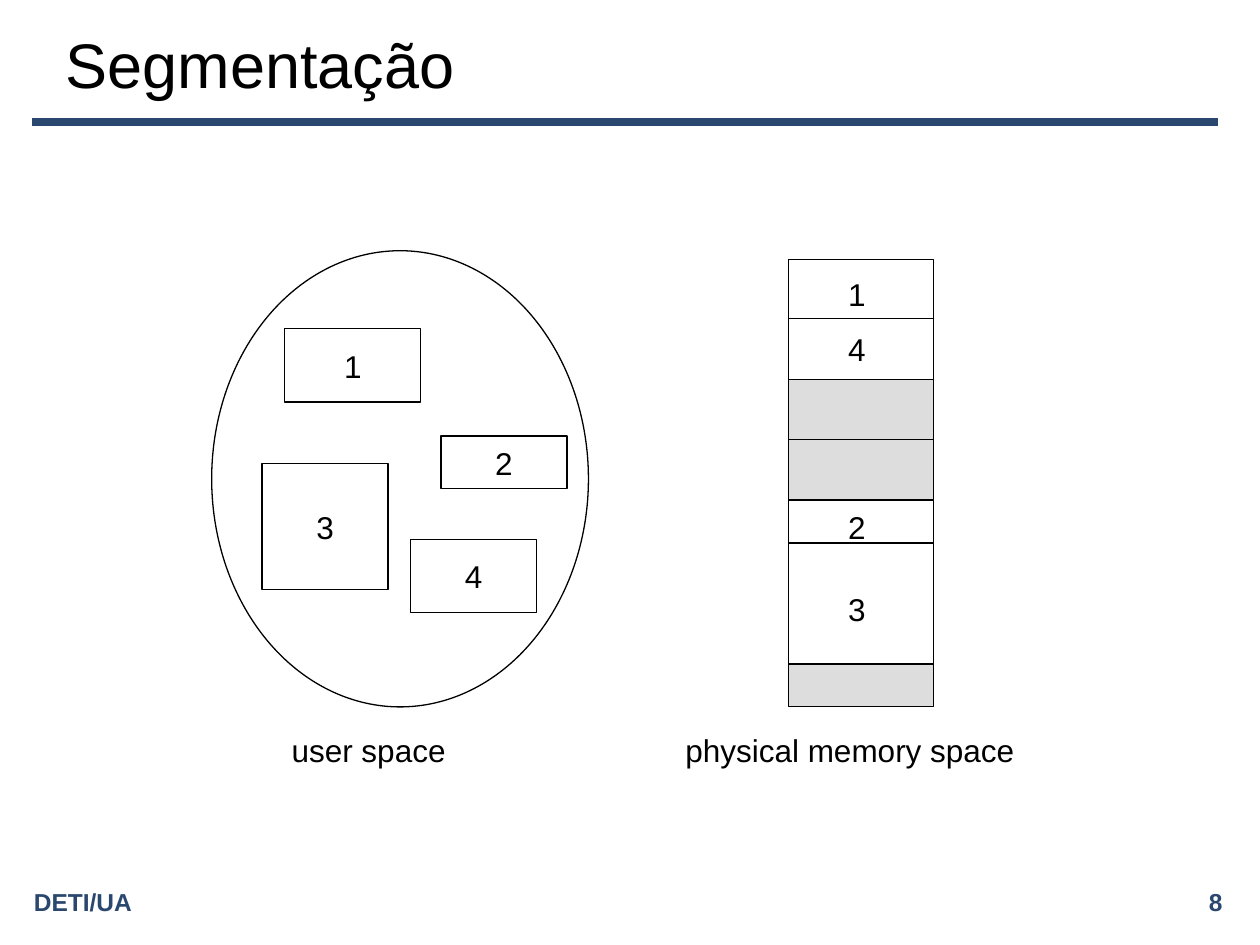
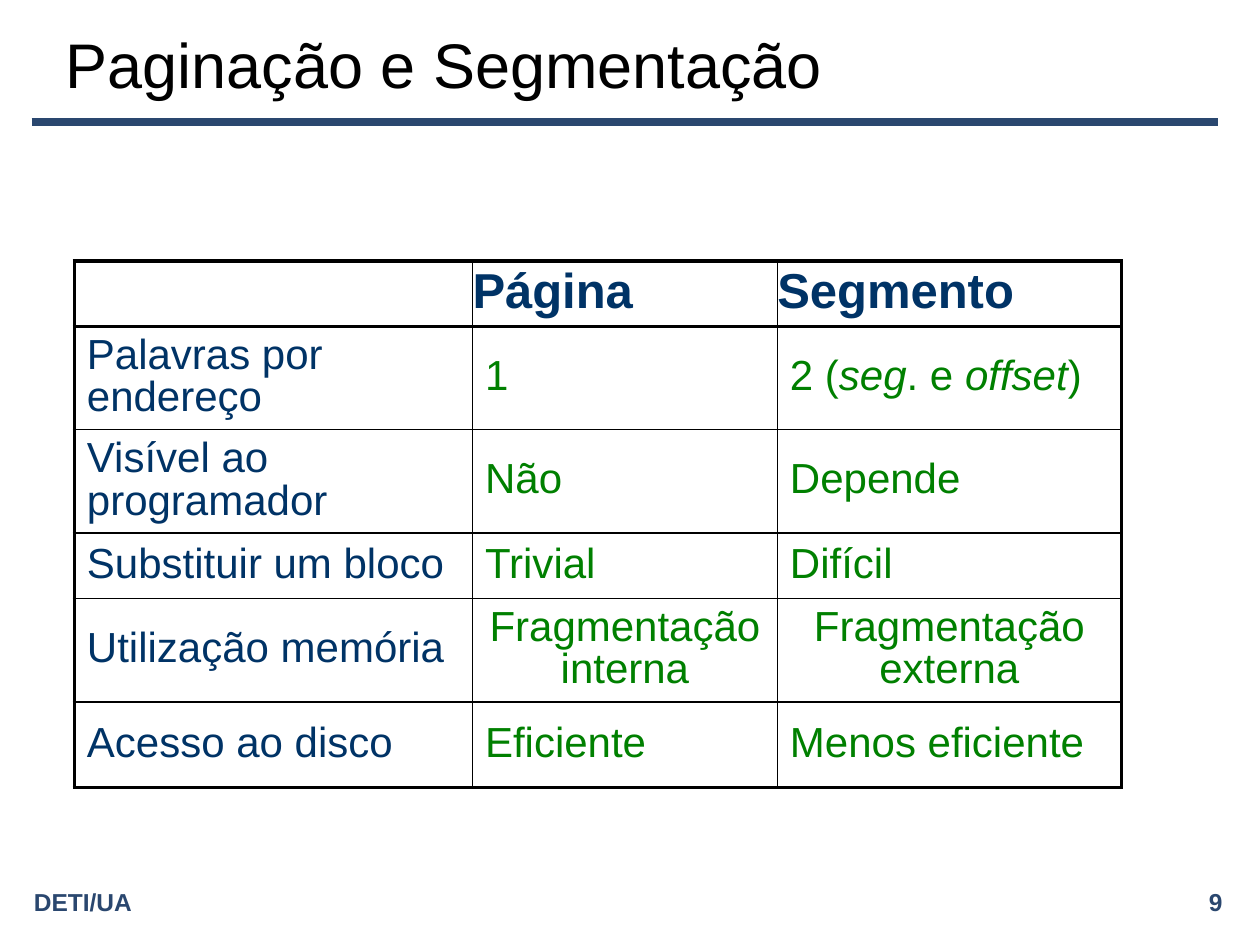
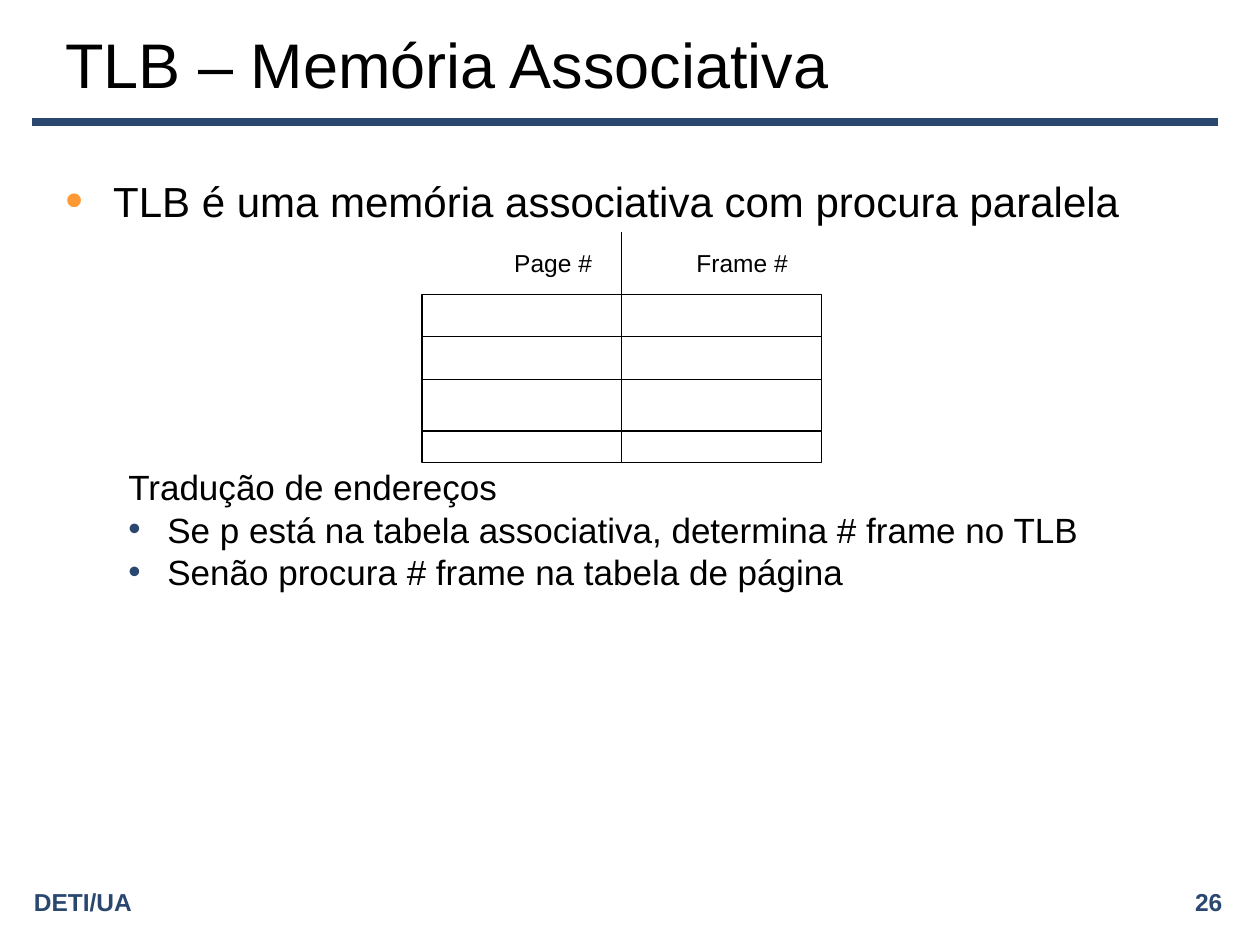
from lxml import etree
from pptx import Presentation
from pptx.dml.color import RGBColor
from pptx.enum.shapes import MSO_CONNECTOR, MSO_SHAPE
from pptx.enum.text import MSO_ANCHOR, MSO_AUTO_SIZE, PP_ALIGN
from pptx.oxml.ns import qn
from pptx.util import Inches, Pt

LEFT, CENTER, RIGHT = PP_ALIGN.LEFT, PP_ALIGN.CENTER, PP_ALIGN.RIGHT
MIDDLE, TOP = MSO_ANCHOR.MIDDLE, MSO_ANCHOR.TOP
NO_AUTOFIT = MSO_AUTO_SIZE.NONE
STRAIGHT = MSO_CONNECTOR.STRAIGHT
RECTANGLE, OVAL = MSO_SHAPE.RECTANGLE, MSO_SHAPE.OVAL

FONT = "Arial"
BLACK, WHITE, GRAY = "000000", "FFFFFF", "DDDDDD"
NAVY, ORANGE = "2A476F", "FF9933"
TOPIC_BLUE, ANSWER_GREEN = "003366", "008000"
THIN, THICK = 1, 2.25


def color(value):
    return RGBColor.from_string(value)


def write(frame, text, size=18, ink=BLACK, bold=False, align=LEFT,
          spacing=None, before=0, after=0):
    paragraph = frame.paragraphs[0]
    if paragraph.runs:
        paragraph = frame.add_paragraph()
    paragraph.alignment = align
    paragraph.space_before, paragraph.space_after = Pt(before), Pt(after)
    if spacing:
        paragraph.line_spacing = spacing
    for index, part in enumerate(text.split("*")):
        run = paragraph.add_run()
        run.text = part
        font = run.font
        font.name, font.size, font.bold = FONT, Pt(size), bold
        font.italic = index % 2 == 1
        font.color.rgb = color(ink)
    return paragraph


def indent(paragraph, margin, hanging, bullet_color=None, bullet_size=100):
    properties = paragraph._p.get_or_add_pPr()
    properties.set("marL", str(Inches(margin)))
    properties.set("indent", str(-Inches(hanging)))
    if not bullet_color:
        etree.SubElement(properties, qn("a:buNone"))
        return
    ink = etree.SubElement(properties, qn("a:buClr"))
    etree.SubElement(ink, qn("a:srgbClr"), val=bullet_color)
    etree.SubElement(properties, qn("a:buSzPct"), val=str(bullet_size * 1000))
    etree.SubElement(properties, qn("a:buFont"), typeface=FONT)
    etree.SubElement(properties, qn("a:buChar"), char="•")


def add_text(slide, box, text, wrap=False, anchor=MIDDLE, **text_format):
    frame = slide.shapes.add_textbox(*map(Inches, box)).text_frame
    frame.word_wrap, frame.vertical_anchor = wrap, anchor
    write(frame, text, **text_format)
    return frame


def add_block(slide, box, label="", kind=RECTANGLE, fill=WHITE):
    block = slide.shapes.add_shape(kind, *map(Inches, box))
    block.shadow.inherit = False
    block.fill.solid()
    block.fill.fore_color.rgb = color(fill)
    block.line.color.rgb = color(BLACK)
    block.line.width = Pt(0.75)
    if label:
        block.text_frame.word_wrap = False
        block.text_frame.vertical_anchor = MIDDLE
        write(block.text_frame, label, align=CENTER)


def add_line(slide, start, end, ink=BLACK, width=0.75):
    line = slide.shapes.add_connector(STRAIGHT, *map(Inches, start + end))
    line.line.color.rgb = color(ink)
    line.line.width = Pt(width)
    etree.SubElement(line._element.spPr, qn("a:effectLst"))


def add_slide(deck, heading, number):
    slide = deck.slides.add_slide(deck.slide_layouts[5])
    add_line(slide, (0.25, 0.97), (9.67, 0.97), NAVY, 4.5)
    footer = dict(wrap=True, size=14, ink=NAVY, bold=True)
    add_text(slide, (5.92, 7, 3.88, 0.31), number, align=RIGHT, **footer)
    add_text(slide, (0.17, 7, 3.88, 0.31), "DETI/UA", **footer)
    title = slide.shapes.title
    title.left, title.top = Inches(0.42), Inches(0.17)
    title.width, title.height = Inches(8.75), Inches(0.67)
    frame = title.text_frame
    frame.auto_size, frame.vertical_anchor = NO_AUTOFIT, MIDDLE
    write(frame, heading, size=36)
    return slide


def draw_user_space(slide, left, top, width, height):
    add_block(slide, (left, top, width, height), kind=OVAL)
    segments = [
        ("1", 0.58, 0.62, 1.08, 0.58),
        ("3", 0.4, 1.69, 1, 1),
        ("2", 1.82, 1.47, 1, 0.42),
        ("4", 1.58, 2.29, 1, 0.58),
    ]
    for label, x, y, segment_width, segment_height in segments:
        add_block(slide, (left + x, top + y, segment_width, segment_height), label)
    add_text(slide, (left + 0.5, top + height + 0.14, 1.49, 0.4),
             "user space", align=CENTER)


def draw_physical_memory(slide, left, top, width):
    regions = [(0.95, WHITE, 0.47), (0.96, GRAY, 0.48),
               (1.3, WHITE, 0.34), (0.34, GRAY, None)]
    y = top
    for height, fill, divider in regions:
        add_block(slide, (left, y, width, height), fill=fill)
        if divider:
            add_line(slide, (left, y + divider), (left + width, y + divider))
        y += height
    for label, offset in [("1", 0.07), ("4", 0.51), ("2", 1.92), ("3", 2.57)]:
        add_text(slide, (left + 0.37, top + offset, 0.34, 0.4), label, align=CENTER)
    add_text(slide, (left - 0.92, y + 0.14, 2.81, 0.4),
             "physical memory space", align=CENTER)


def set_borders(cell, widths):
    properties = cell._tc.get_or_add_tcPr()
    for position, (side, width) in enumerate(widths.items()):
        border = etree.Element(qn(f"a:{side}"), w=str(Pt(width)))
        fill = etree.SubElement(border, qn("a:solidFill"))
        etree.SubElement(fill, qn("a:srgbClr"), val=BLACK)
        properties.insert(position, border)


def draw_comparison(slide, left, top):
    rows = [
        ("", "Página", "Segmento"),
        ("Palavras por endereço", "1", "2 (*seg*. e *offset*)"),
        ("Visível ao programador", "Não", "Depende"),
        ("Substituir um bloco", "Trivial", "Difícil"),
        ("Utilização memória", "Fragmentação interna", "Fragmentação externa"),
        ("Acesso ao disco", "Eficiente", "Menos eficiente"),
    ]
    widths = [3.16, 2.42, 2.73]
    heights = [0.52, 0.82, 0.82, 0.52, 0.82, 0.68]
    box = (left, top, sum(widths), sum(heights))
    table = slide.shapes.add_table(len(rows), len(widths), *map(Inches, box)).table
    table.first_row = table.horz_banding = False
    for column, width in zip(table.columns, widths):
        column.width = Inches(width)
    for r, (row, height) in enumerate(zip(rows, heights)):
        table.rows[r].height = Inches(height)
        for c, text in enumerate(row):
            cell = table.cell(r, c)
            cell.fill.background()
            cell.vertical_anchor = MIDDLE
            heading = r == 0
            cell.margin_left = cell.margin_right = Inches(0 if heading else 0.1)
            cell.margin_top = cell.margin_bottom = Inches(0 if heading else 0.05)
            if text:
                write(cell.text_frame, text, size=28 if heading else 24,
                      ink=TOPIC_BLUE if heading or c == 0 else ANSWER_GREEN,
                      bold=heading, spacing=0.9, after=1,
                      align=CENTER if text.startswith("Fragmentação") else LEFT)
            set_borders(cell, {
                "lnL": THICK if c == 0 else THIN,
                "lnR": THICK if c == len(widths) - 1 else THIN,
                "lnT": THICK if r in (0, 1) else THIN,
                "lnB": THICK if r in (0, len(rows) - 1) else THIN,
            })


def draw_explanation(slide, box):
    frame = add_text(slide, box, "TLB é uma memória associativa com procura paralela",
                     wrap=True, anchor=TOP, size=24, spacing=0.8, before=5)
    indent(frame.paragraphs[0], 0.38, 0.38, ORANGE, 120)
    steps = [
        ("Tradução de endereços", 142, None),
        ("Se p está na tabela associativa, determina # frame no TLB", 5, NAVY),
        ("Senão procura # frame na tabela de página", 5, NAVY),
    ]
    for text, before, bullet_color in steps:
        step = write(frame, text, size=20, spacing=0.8, before=before)
        indent(step, 0.81, 0.31, bullet_color)


def draw_tlb(slide, left, top, width, height):
    add_block(slide, (left, top, width, height))
    middle = left + width / 2
    add_line(slide, (middle, top - 0.5), (middle, top + height))
    for offset in (0.33, 0.67, 1.08):
        add_line(slide, (left, top + offset), (left + width, top + offset))
    for label, offset in [("Page #", 0.33), ("Frame #", 1.83)]:
        add_text(slide, (left + offset, top - 0.42, 1.42, 0.33), label,
                 size=14, align=CENTER)


def main():
    deck = Presentation()
    deck.slide_width, deck.slide_height = Inches(10), Inches(7.5)

    segmentation = add_slide(deck, "Segmentação", "8")
    draw_user_space(segmentation, 1.68, 1.99, 2.99, 3.62)
    draw_physical_memory(segmentation, 6.26, 2.06, 1.15)

    comparison = add_slide(deck, "Paginação e Segmentação", "9")
    draw_comparison(comparison, 0.59, 2.07)

    associative = add_slide(deck, "TLB – Memória Associativa", "26")
    draw_explanation(associative, (0.42, 1.42, 9, 4.95))
    draw_tlb(associative, 3.35, 2.34, 3.17, 1.33)

    deck.save("out.pptx")


if __name__ == "__main__":
    main()
